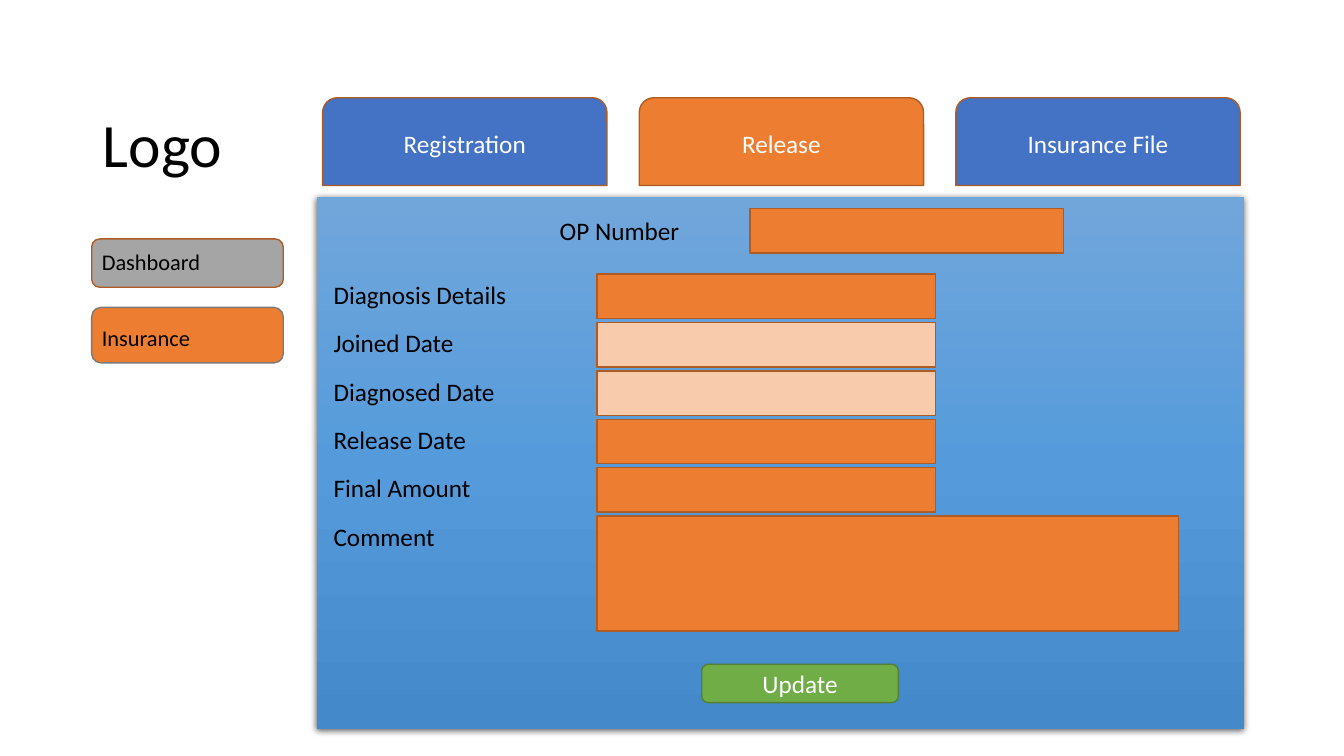
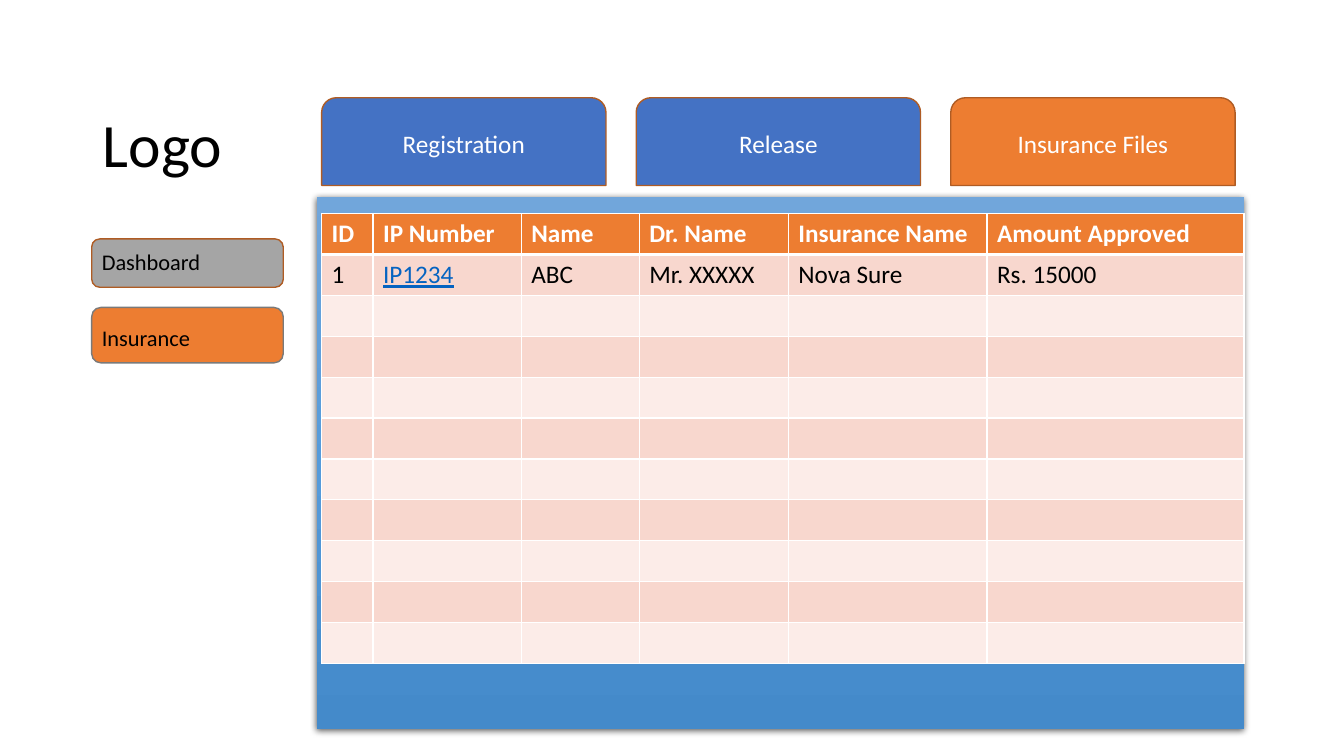
import copy

import lxml.etree
import pptx
import pptx.dml.color
import pptx.enum.shapes
import pptx.enum.text
import pptx.oxml
import pptx.oxml.ns
import pptx.util

Inches = pptx.util.Inches
Pt = pptx.util.Pt
SHAPE = pptx.enum.shapes.MSO_SHAPE
ALIGN = pptx.enum.text.PP_ALIGN
ANCHOR = pptx.enum.text.MSO_ANCHOR
qn = pptx.oxml.ns.qn

FONT = "Calibri"
BLUE, ORANGE, PEACH, GREEN = "4472C4", "ED7D31", "F8CBAD", "70AD47"
GREY, BROWN, DARK_GREY, DARK_GREEN = "A5A5A5", "AF5C24", "7A7A7A", "538035"
BLACK, WHITE, LINK = "000000", "FFFFFF", "0563C1"
PANEL_STOPS = [(0, "71A6DB"), (0.5, "559BDB"), (1, "448ACA")]
BANDS = ["FCECE8", "F8D7CE"]

LOGO = "Logo"
MENU = [
    ("Dashboard", 2.37, 0.48, GREY, BROWN),
    ("Insurance", 3.05, 0.55, ORANGE, DARK_GREY),
]
RELEASE_TABS = ["Registration", "Release", "Insurance File"]
FILES_TABS = ["Registration", "Release", "Insurance Files"]
FIELDS = [
    ("Diagnosis Details", ORANGE, 3.36, 0.44),
    ("Joined Date", PEACH, 3.36, 0.44),
    ("Diagnosed Date", PEACH, 3.36, 0.44),
    ("Release Date", ORANGE, 3.36, 0.44),
    ("Final Amount", ORANGE, 3.36, 0.44),
    ("Comment", ORANGE, 5.77, 1.14),
]
FILES = [
    ["ID", "IP Number", "Name", "Dr. Name", "Insurance Name", "Amount Approved"],
    ["1", "IP1234", "ABC", "Mr. XXXXX", "Nova Sure", "Rs. 15000"],
]
FILE_ROWS = 11
FILE_WIDTHS = [0.51, 1.47, 1.17, 1.48, 1.97, 2.55]


def rgb(code):
    return pptx.dml.color.RGBColor.from_string(code)


def write(paragraph, text, size=18, color=BLACK, bold=False, underline=False):
    run = paragraph.add_run()
    run.text = text
    run.font.name = FONT
    run.font.size = Pt(size)
    run.font.color.rgb = rgb(color)
    run.font.bold = bold
    run.font.underline = underline


def place(item, left, top, width, height):
    item.left, item.top = Inches(left), Inches(top)
    item.width, item.height = Inches(width), Inches(height)


def add_box(slide, kind, at, fill, line, text=None):
    box = slide.shapes.add_shape(kind, *map(Inches, at))
    box.shadow.inherit = False
    box.fill.solid()
    box.fill.fore_color.rgb = rgb(fill)
    box.line.color.rgb = rgb(line)
    box.line.width = Pt(1)
    if text:
        box.text_frame.vertical_anchor = ANCHOR.MIDDLE
        caption = box.text_frame.paragraphs[0]
        caption.alignment = ALIGN.CENTER
        write(caption, text, color=WHITE)


def add_label(slide, text, left, top, width, align=ALIGN.LEFT):
    label = slide.shapes.add_textbox(*map(Inches, (left, top, width, 0.4)))
    label.text_frame.word_wrap = True
    label.text_frame.paragraphs[0].alignment = align
    write(label.text_frame.paragraphs[0], text)


def add_panel(slide):
    panel = slide.shapes.add_shape(
        SHAPE.RECTANGLE, *map(Inches, (3.14, 1.95, 9.2, 5.28)))
    panel.line.fill.background()
    panel.fill.gradient()
    panel.fill.gradient_angle = 270
    properties = panel._element.spPr
    stops = properties.find(".//" + qn("a:gsLst"))
    stops.insert(1, copy.deepcopy(stops[0]))
    for stop, (position, color) in zip(panel.fill.gradient_stops, PANEL_STOPS):
        stop.position = position
        stop.color.rgb = rgb(color)
    panel.shadow.inherit = False
    shadow = lxml.etree.SubElement(
        properties.find(qn("a:effectLst")), qn("a:outerShdw"),
        blurRad=str(Pt(4.5)), dist=str(Pt(1.5)), dir="5400000",
        algn="ctr", rotWithShape="0")
    tint = lxml.etree.SubElement(shadow, qn("a:srgbClr"), val=BLACK)
    lxml.etree.SubElement(tint, qn("a:alpha"), val="63000")


def add_screen(deck, tabs, active, first_left, pitch):
    slide = deck.slides.add_slide(deck.slide_layouts[1])
    logo, menu = slide.placeholders
    add_panel(slide)
    for _, top, height, fill, line in MENU:
        add_box(slide, SHAPE.ROUNDED_RECTANGLE, (0.91, top, 1.9, height), fill, line)

    for holder in (logo, menu):
        slide.shapes._spTree.append(holder._element)
        holder.text_frame.auto_size = pptx.enum.text.MSO_AUTO_SIZE.NONE
    place(logo, 0.92, 1.08, 2.05, 0.76)
    logo.text_frame.vertical_anchor = ANCHOR.MIDDLE
    heading = logo.text_frame.paragraphs[0]
    heading.alignment = ALIGN.LEFT
    heading.line_spacing = 0.9
    write(heading, LOGO, 44)

    place(menu, 0.91, 2.44, 2.05, 1.2)
    for index, (name, *_) in enumerate(MENU):
        entry = menu.text_frame.add_paragraph() if index else menu.text_frame.paragraphs[0]
        entry.line_spacing = 0.9
        entry.space_before = Pt(37 * index)
        layout = entry._p.get_or_add_pPr()
        layout.set("marL", "0")
        layout.set("indent", "0")
        lxml.etree.SubElement(layout, qn("a:buNone"))
        write(entry, name, 16)

    for index, name in enumerate(tabs):
        add_box(slide, SHAPE.ROUND_2_SAME_RECTANGLE,
                (first_left + index * pitch, 0.97, 2.82, 0.87),
                ORANGE if index == active else BLUE, BROWN, name)
    return slide


def add_release_form(slide):
    add_label(slide, "OP Number", 5.18, 2.09, 1.93, ALIGN.CENTER)
    add_box(slide, SHAPE.RECTANGLE, (7.44, 2.07, 3.11, 0.44), ORANGE, BROWN)
    for index, (name, fill, width, height) in enumerate(FIELDS):
        top = 2.72 + index * 0.48
        add_label(slide, name, 3.21, top, 2.69)
        add_box(slide, SHAPE.RECTANGLE, (5.92, top, width, height), fill, BROWN)
    add_box(slide, SHAPE.ROUNDED_RECTANGLE, (6.96, 6.59, 1.95, 0.38),
            GREEN, DARK_GREEN, "Update")


def add_borders(cell, top, bottom):
    properties = cell._tc.get_or_add_tcPr()
    for side, width in (("L", 1), ("R", 1), ("T", top), ("B", bottom)):
        border = lxml.etree.SubElement(properties, qn("a:ln" + side), w=str(Pt(width)))
        solid = lxml.etree.SubElement(border, qn("a:solidFill"))
        lxml.etree.SubElement(solid, qn("a:srgbClr"), val=WHITE)


def add_files_table(slide):
    files = slide.shapes.add_table(
        FILE_ROWS, len(FILE_WIDTHS), *map(Inches, (3.19, 2.12, 9.15, 4.46))).table
    for column, width in zip(files.columns, FILE_WIDTHS):
        column.width = Inches(width)
    for row in range(FILE_ROWS):
        for column in range(len(FILE_WIDTHS)):
            cell = files.cell(row, column)
            add_borders(cell, 3 if row == 1 else 1, 3 if row == 0 else 1)
            cell.fill.solid()
            cell.fill.fore_color.rgb = rgb(BANDS[row % 2] if row else ORANGE)
            if row < len(FILES):
                linked = row > 0 and FILES[0][column] == "IP Number"
                color = LINK if linked else BLACK if row else WHITE
                write(cell.text_frame.paragraphs[0], FILES[row][column],
                      color=color, bold=row == 0, underline=linked)


def main():
    deck = pptx.Presentation()
    deck.slide_width, deck.slide_height = Inches(13.33), Inches(7.5)
    add_release_form(add_screen(deck, RELEASE_TABS, 1, 3.2, 3.14))
    add_files_table(add_screen(deck, FILES_TABS, 2, 3.19, 3.12))
    deck.save("out.pptx")


if __name__ == "__main__":
    main()
